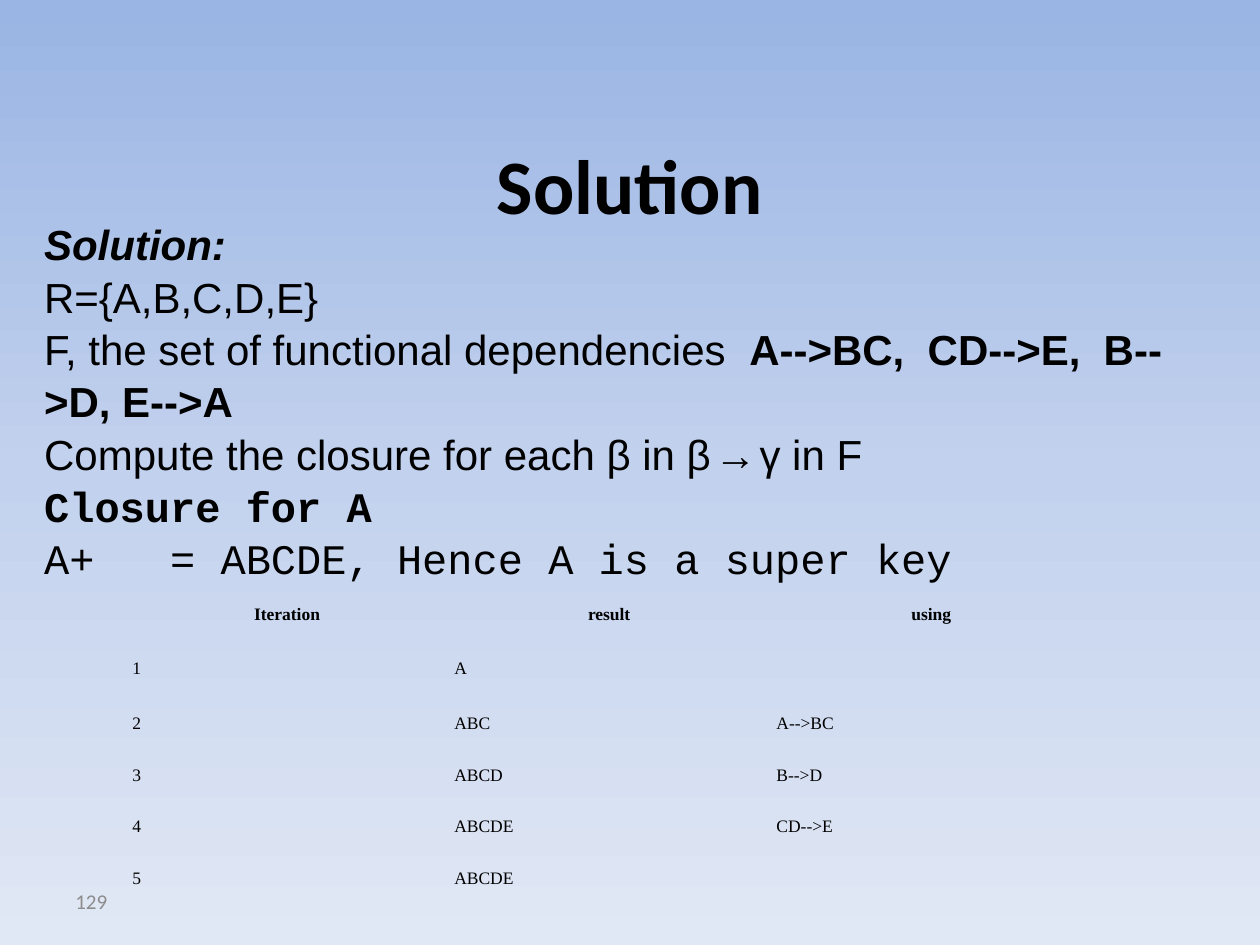
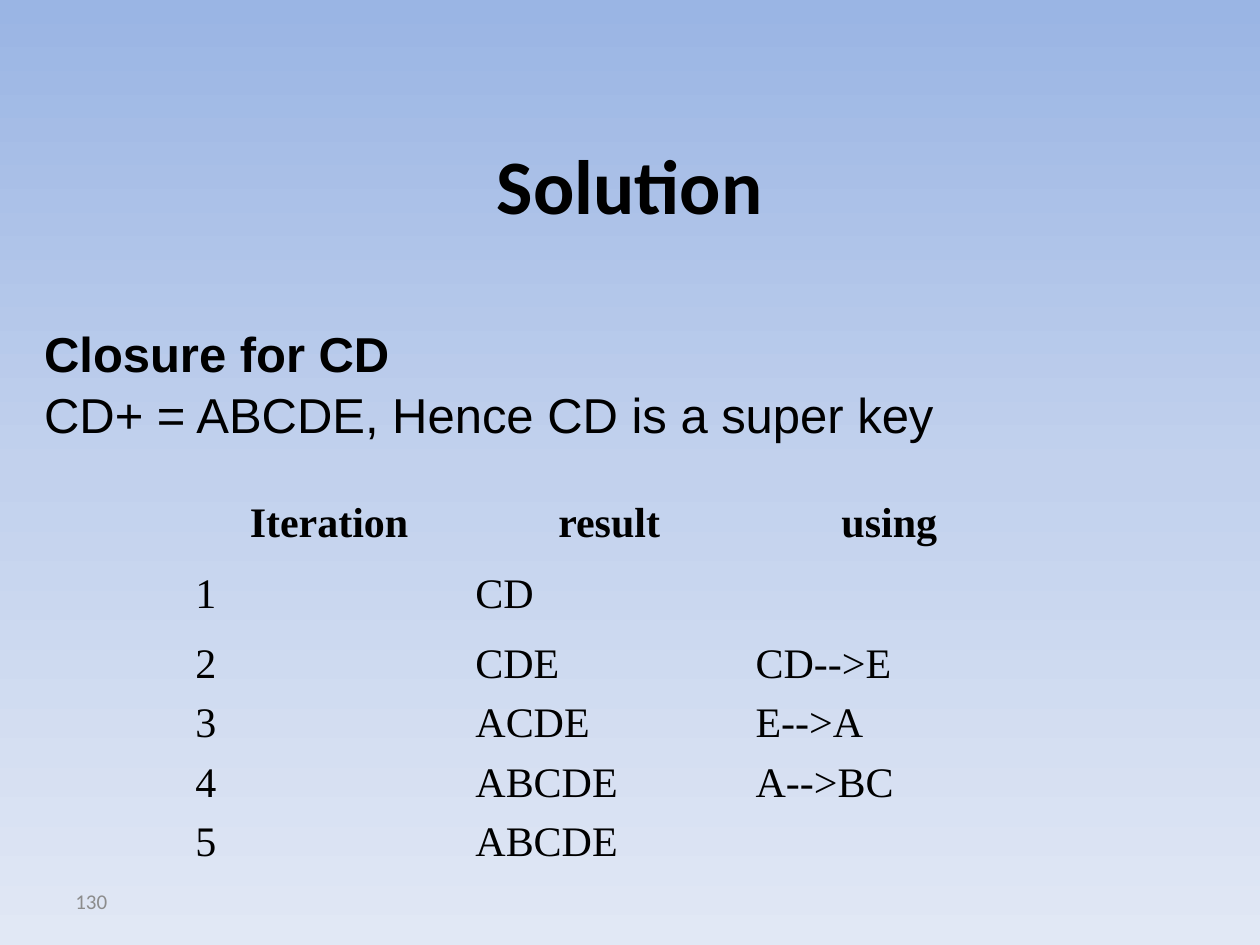
from lxml import etree
from pptx import Presentation
from pptx import util as u
from pptx.dml.color import RGBColor
from pptx.enum import text
from pptx.oxml import parse_xml
from pptx.oxml.ns import nsdecls, qn

INK, GREY = "000000", "8C8C8C"
SKY = [(0, "9AB5E4"), (50, "C2D1ED"), (100, "E1E8F5")]
NO_GRID_STYLE = "{2D5ABB26-0587-4C30-8999-92F81FD0307C}"
MIDDLE = text.MSO_ANCHOR.MIDDLE
ARIAL, COURIER = {"name": "Arial"}, {"name": "Courier New"}
BOLD = {"name": "Arial", "bold": True}


def write(para, words, color=INK, **look):
    """Add a span of text; look holds font attributes."""
    span = para.add_run()
    span.text = words
    span.font.color.rgb = RGBColor.from_string(color)
    for name, value in look.items():
        setattr(span.font, name, value)


def place(box, left, top, width, height):
    """Move a text box or placeholder and give it the shared frame settings."""
    box.left, box.top, box.width, box.height = map(u.Inches, (left, top, width, height))
    settings = {"word_wrap": True, "auto_size": text.MSO_AUTO_SIZE.NONE, "vertical_anchor": MIDDLE}
    for name, value in settings.items():
        setattr(box.text_frame, name, value)
    return box.text_frame


# Content of each slide; a line is a list of (words, look) spans
solutions = [
    {
        "number": "129",
        "body": (0.25, 1.71, 9.42, 2.93),
        "body_size": 24,
        "bottom_inset": 0.05,
        "lines": [
            [("Solution:", {**BOLD, "italic": True})],
            [("R={A,B,C,D,E}", ARIAL)],
            [("F, the set of functional dependencies  ", ARIAL),
             ("A-->BC,  CD-->E,  B-->D, E-->A", BOLD)],
            [("Compute the closure for each β in β ", ARIAL), ("→", COURIER), (" γ in F", ARIAL)],
            [("Closure for A", {**COURIER, "bold": True})],
            [("A+   = ABCDE, Hence A is a super key", COURIER)],
        ],
        "table": (1, 4.67, 7.67, 2.5),
        "table_size": 10,
        "row_heights": [0.41, 0.46] + [0.41] * 4,
        "steps": [("A", ""), ("ABC", "A-->BC"), ("ABCD", "B-->D"),
                  ("ABCDE", "CD-->E"), ("ABCDE", "")],
    },
    {
        "number": "130",
        "body": (0.25, 2.51, 7.36, 1.35),
        "body_size": 28,
        "bottom_inset": 0.35,
        "lines": [
            [("Closure for CD", BOLD)],
            [("CD+ = ABCDE, Hence CD is a super key", ARIAL)],
        ],
        "table": (1.5, 3.92, 6.67, 3.02),
        "table_size": 24,
        "row_heights": [0.47, 0.65] + [0.47] * 4,
        "steps": [("CD", ""), ("CDE", "CD-->E"), ("ACDE", "E-->A"),
                  ("ABCDE", "A-->BC"), ("ABCDE", "")],
    },
]

# Deck with a shared gradient background on the master
deck = Presentation()
deck.slide_width, deck.slide_height = u.Inches(10), u.Inches(7.5)
stops = "".join(
    f'<a:gs pos="{percent * 1000}"><a:srgbClr val="{color}"/></a:gs>' for percent, color in SKY
)
sheet = deck.slide_master.element.cSld
old_background = sheet.find(qn("p:bg"))
if old_background is not None:
    sheet.remove(old_background)
sheet.insert(0, parse_xml(
    f'<p:bg {nsdecls("p", "a")}><p:bgPr><a:gradFill rotWithShape="1"><a:gsLst>{stops}</a:gsLst>'
    '<a:lin ang="5400000" scaled="0"/></a:gradFill><a:effectLst/></p:bgPr></p:bg>'
))

for solution in solutions:
    page = deck.slides.add_slide(deck.slide_layouts[1])

    # Title
    para = place(page.shapes.title, 0.5, 0.83, 9, 1.25).paragraphs[0]
    para.alignment = text.PP_ALIGN.CENTER
    write(para, "Solution", name="Calibri", size=u.Pt(44), bold=True)

    # Page number
    number_box = page.shapes.add_textbox(0, 0, 0, 0)
    para = place(number_box, 0.5, 6.95, 2.33, 0.4).paragraphs[0]
    write(para, solution["number"], GREY, name="Calibri", size=u.Pt(12))

    # Closure text
    frame = place(page.placeholders[1], *solution["body"])
    frame.margin_bottom = u.Inches(solution["bottom_inset"])
    for index, line in enumerate(solution["lines"]):
        para = frame.add_paragraph() if index else frame.paragraphs[0]
        para.alignment = text.PP_ALIGN.LEFT
        para.space_before, para.space_after, para.line_spacing = u.Pt(0), u.Pt(0), 1.04
        props = para._p.get_or_add_pPr()
        props.set("marL", "0")
        props.set("indent", "0")
        etree.SubElement(props, qn("a:buNone"))
        for words, look in line:
            write(para, words, size=u.Pt(solution["body_size"]), **look)

    # Iteration table
    rows = [("Iteration", "result", "using")]
    rows += [(str(step), *found) for step, found in enumerate(solution["steps"], 1)]
    table = page.shapes.add_table(len(rows), 3, *map(u.Inches, solution["table"])).table
    table.first_row = table.horz_banding = False
    table._tbl.tblPr.find(qn("a:tableStyleId")).text = NO_GRID_STYLE
    for r, (row, height) in enumerate(zip(rows, solution["row_heights"])):
        table.rows[r].height = u.Inches(height)
        for c, words in enumerate(row):
            cell = table.cell(r, c)
            cell.fill.background()
            cell.vertical_anchor = MIDDLE
            for side in ("left", "top", "right", "bottom"):
                setattr(cell, f"margin_{side}", u.Inches(0.05))
            if words:
                para = cell.text_frame.paragraphs[0]
                para.alignment = text.PP_ALIGN.LEFT if r else text.PP_ALIGN.CENTER
                write(para, words, name="Times New Roman",
                      size=u.Pt(solution["table_size"]), bold=r == 0)

deck.save("out.pptx")
